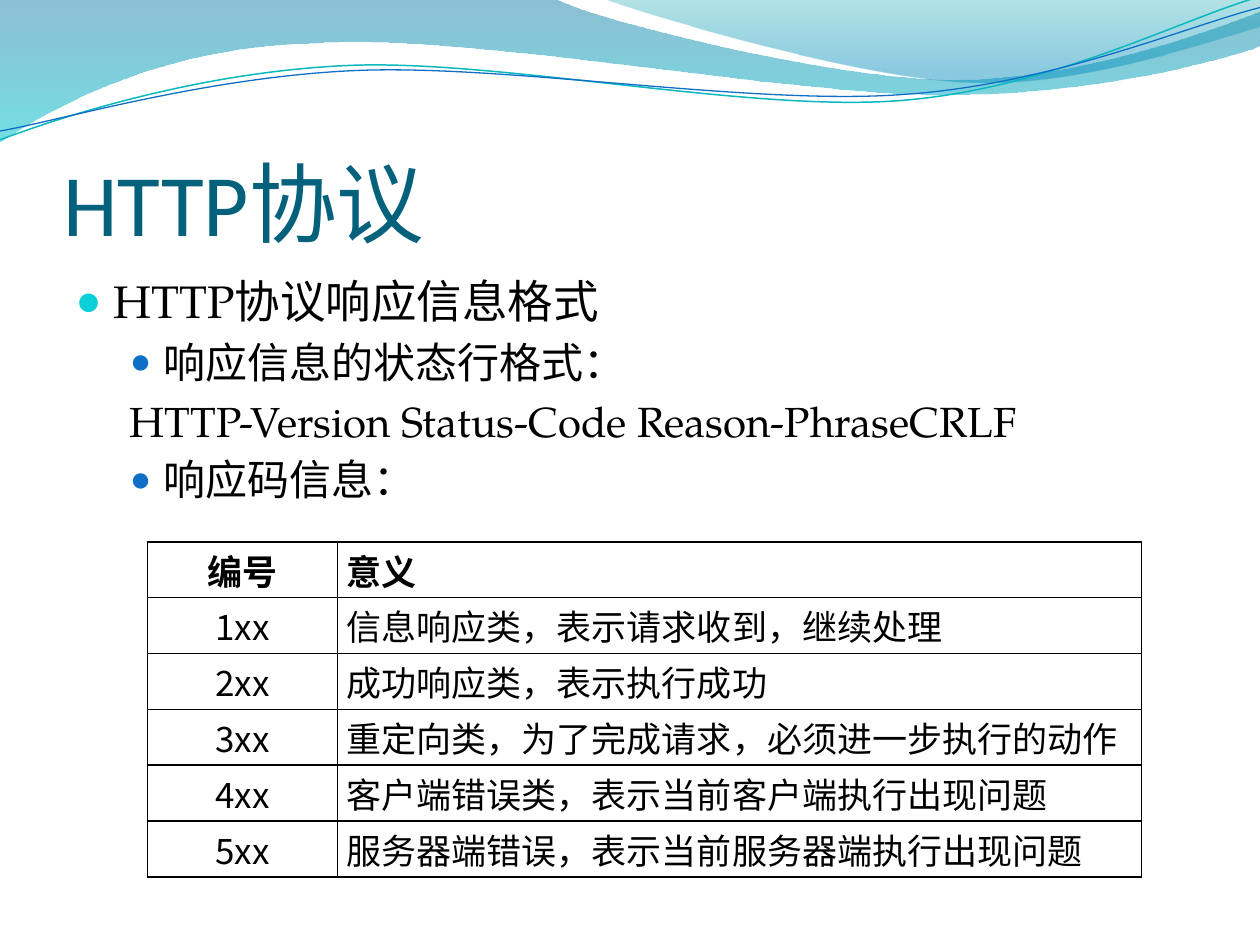
from lxml import etree
from pptx import Presentation
from pptx.dml.color import RGBColor
from pptx.enum.text import MSO_ANCHOR, MSO_AUTO_SIZE, PP_ALIGN
from pptx.oxml.ns import qn
from pptx.util import Inches, Pt

LEFT, CENTER, JUSTIFY = PP_ALIGN.LEFT, PP_ALIGN.CENTER, PP_ALIGN.JUSTIFY
TOP, MIDDLE, BOTTOM = MSO_ANCHOR.TOP, MSO_ANCHOR.MIDDLE, MSO_ANCHOR.BOTTOM
NO_AUTOFIT = MSO_AUTO_SIZE.NONE

CJK, SERIF, SANS = "Noto Sans CJK SC", "TeX Gyre Pagella", "Calibri"
TABLE_FONT = "Times New Roman"
BLACK, BLUE, TEAL, CYAN, TITLE = "000000", "0F6FC6", "0AB8BF", "0BD0D9", "04617B"

# Waves: a start point, then lines (x, y) and cubic curves (x1, y1, x2, y2, x, y)
BACK_WAVE = [(0, 0), (4.4, -0.01), (4.76, 0.17, 6.64, 0.63, 7.58, 0.63),
             (8.53, 0.63, 9.58, 0.26, 10, 0.09), (10.01, 0.36),
             (9.83, 0.44, 8.7, 0.76, 7.46, 0.75),
             (6.22, 0.75, 3.82, 0.28, 2.57, 0.34),
             (1.29, 0.36, 0.46, 0.83, -0.01, 1.13)]
FRONT_WAVE = [(4.79, -0.01), (5.09, 0.11, 6.82, 0.62, 7.69, 0.65),
              (8.56, 0.69, 9.61, 0.32, 10, 0.21), (10, 0)]
TEAL_LINE = [(0, 1.11), (0.48, 0.93, 1.58, 0.57, 2.77, 0.52),
             (3.95, 0.47, 5.93, 0.89, 7.13, 0.8),
             (8.33, 0.71, 9.38, 0.15, 9.98, -0.02)]
BLUE_LINE = [(0, 1.04), (0.47, 0.96, 1.64, 0.61, 2.83, 0.56),
             (4.03, 0.51, 5.97, 0.84, 7.17, 0.75),
             (8.36, 0.67, 9.41, 0.21, 10, 0.06)]

# Text, level, size, bullet colour
BODY = [("HTTP协议响应信息格式", 0, 26, CYAN),
        ("响应信息的状态行格式：", 1, 24, BLUE),
        ("HTTP-Version Status-Code Reason-PhraseCRLF", 1, 24, None),
        ("响应码信息：", 1, 24, BLUE)]
# Left margin, hanging indent and bullet size in percent, by level
LEVELS = [(0.3, 0.3, 95), (0.7, 0.27, 85)]

CODES = [("编号", "意义"),
         ("1xx", "信息响应类，表示请求收到，继续处理"),
         ("2xx", "成功响应类，表示执行成功"),
         ("3xx", "重定向类，为了完成请求，必须进一步执行的动作"),
         ("4xx", "客户端错误类，表示当前客户端执行出现问题"),
         ("5xx", "服务器端错误，表示当前服务器端执行出现问题")]


def rgb(value):
    return RGBColor.from_string(value)


def sub(parent, tag, **attrs):
    return etree.SubElement(parent, qn(tag), {k: str(v) for k, v in attrs.items()})


def place(shape, left, top, width, height):
    shape.left, shape.top = Inches(left), Inches(top)
    shape.width, shape.height = Inches(width), Inches(height)


def style(p, size, font, color, bold=False):
    for r in p.runs:
        r.font.size, r.font.name, r.font.bold = Pt(size), font, bold
        r.font.color.rgb = rgb(color)
        sub(r.font._element, "a:ea", typeface=CJK)


def add_curve(s, segments, close):
    """Draw a freeform, turning each curve's three points into one Bezier."""
    points = [(Inches(seg[i]), Inches(seg[i + 1]))
              for seg in segments for i in range(0, len(seg), 2)]
    builder = s.shapes.build_freeform(*points[0])
    builder.add_line_segments(points[1:], close=close)
    sp = builder.convert_to_shape()
    sp.shadow.inherit = False
    lines = iter(list(sp._element.iter(qn("a:lnTo"))))
    for seg in segments[1:]:
        steps = [next(lines) for _ in range(len(seg) // 2)]
        if len(steps) == 3:
            curve = etree.Element(qn("a:cubicBezTo"))
            steps[0].addprevious(curve)
            for step in steps:
                curve.append(step[0])
                step.getparent().remove(step)
    return sp


def add_wave(s, segments, stops):
    sp = add_curve(s, segments, True)
    sp.line.fill.background()
    sp.fill.gradient()
    sp.fill.gradient_angle = 270  # counter-clockwise, so top to bottom
    for stop, (position, color, opacity) in zip(sp.fill.gradient_stops, stops):
        stop.position = position
        stop.color.rgb = rgb(color)
    for clr, (_, _, opacity) in zip(sp._element.spPr.iter(qn("a:srgbClr")), stops):
        sub(clr, "a:alpha", val=opacity * 1000)


def add_wave_line(s, segments, color, width):
    sp = add_curve(s, segments, False)
    sp.fill.background()
    sp.line.color.rgb = rgb(color)
    sp.line.width = Pt(width)


def fill_title(sp, text):
    place(sp, 0.5, 0.77, 9, 1.25)
    tf = sp.text_frame
    tf.text = text
    tf.auto_size, tf.vertical_anchor = NO_AUTOFIT, BOTTOM
    tf.margin_left = tf.margin_right = tf.margin_bottom = 0
    tf.paragraphs[0].alignment = LEFT
    style(tf.paragraphs[0], 50, SANS, TITLE)


def fill_body(sp, items):
    place(sp, 0.5, 2.12, 9, 5.15)
    tf = sp.text_frame
    tf.text = "\n".join(text for text, *_ in items)
    tf.auto_size, tf.vertical_anchor = NO_AUTOFIT, TOP
    for p, (_, level, size, bullet) in zip(tf.paragraphs, items):
        margin, hanging, bullet_size = LEVELS[level]
        p.level, p.space_before = level, Pt(size * 0.2)
        style(p, size, SERIF, BLACK)
        pPr = p._p.get_or_add_pPr()
        pPr.set("marL", str(Inches(margin)))
        pPr.set("indent", str(-Inches(hanging)))
        if bullet:
            sub(sub(pPr, "a:buClr"), "a:srgbClr", val=bullet)
            sub(pPr, "a:buSzPct", val=bullet_size * 1000)
            sub(pPr, "a:buChar", char="●")
        else:
            sub(pPr, "a:buNone")


def set_borders(cell, color, width):
    tcPr = cell._tc.get_or_add_tcPr()
    for i, side in enumerate(("a:lnL", "a:lnR", "a:lnT", "a:lnB")):
        ln = etree.Element(qn(side), w=str(Pt(width)))
        sub(sub(ln, "a:solidFill"), "a:srgbClr", val=color)
        tcPr.insert(i, ln)


def add_code_table(s, rows):
    table = s.shapes.add_table(len(rows), 2, Inches(1.17), Inches(4.3),
                               Inches(7.89), Inches(2.66)).table
    table.first_row = table.horz_banding = False
    table.columns[0].width, table.columns[1].width = Inches(1.51), Inches(6.38)
    for i, row in enumerate(rows):
        for j, text in enumerate(row):
            cell = table.cell(i, j)
            cell.text = text
            cell.vertical_anchor = MIDDLE
            cell.margin_left = cell.margin_right = Inches(0.07)
            cell.margin_top = cell.margin_bottom = 0
            cell.fill.background()
            set_borders(cell, BLACK, 1)
            p = cell.text_frame.paragraphs[0]
            p.alignment = JUSTIFY if j else CENTER
            font = CJK if i and not j else TABLE_FONT
            style(p, 20, font, BLACK, bold=i == 0)


def main():
    prs = Presentation()
    prs.slide_width, prs.slide_height = Inches(10), Inches(7.5)
    s = prs.slides.add_slide(prs.slide_layouts[1])
    title, body = s.placeholders

    # Wave decoration
    add_wave(s, BACK_WAVE, [(0, "0074A1", 45), (1, "00C6CF", 55)])
    add_wave(s, FRONT_WAVE, [(0, "00A1A9", 30), (0.8, "008BBF", 45)])
    add_wave_line(s, TEAL_LINE, TEAL, 0.85)
    add_wave_line(s, BLUE_LINE, BLUE, 0.75)

    # Title and list, in front of the waves
    for sp in (title, body):
        s.shapes._spTree.append(sp._element)
    fill_title(title, "HTTP协议")
    fill_body(body, BODY)

    # Response codes
    add_code_table(s, CODES)
    prs.save("out.pptx")


if __name__ == "__main__":
    main()
